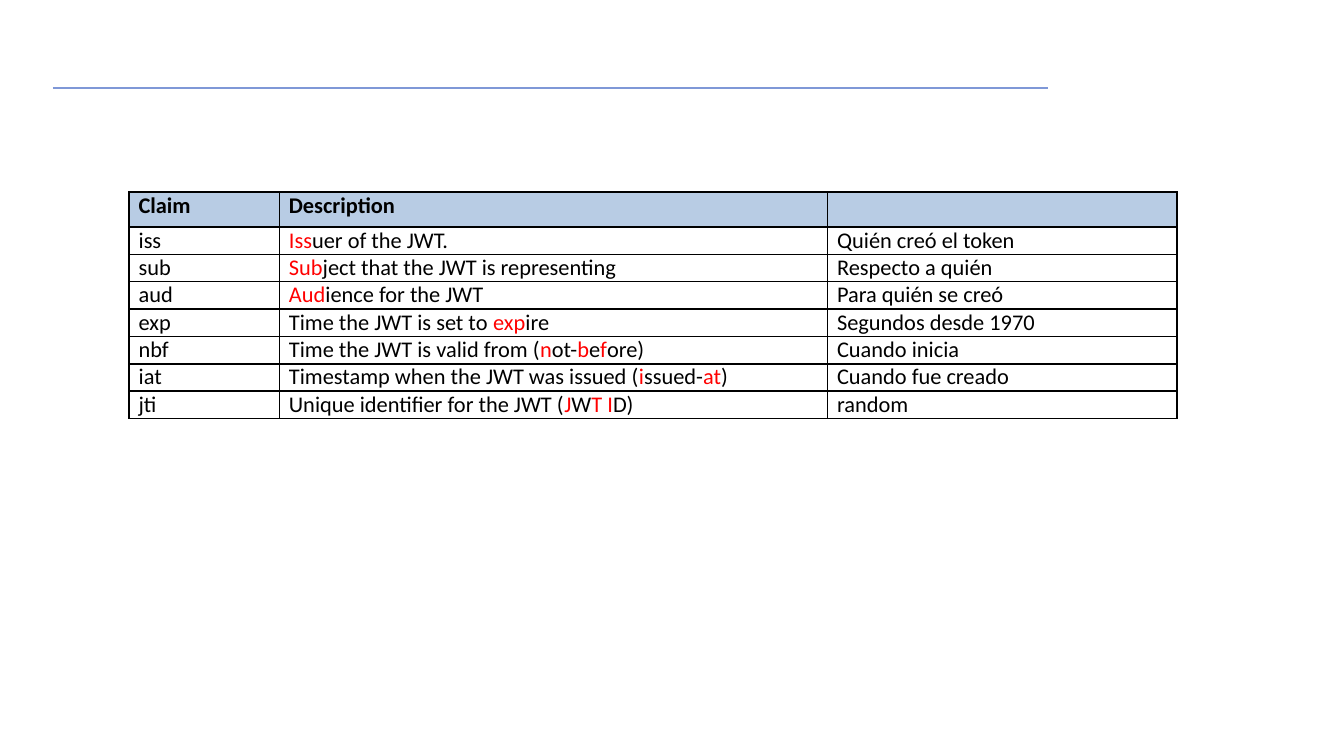
from dataclasses import dataclass

import lxml.etree
import pptx
import pptx.dml.color
import pptx.enum.shapes
import pptx.enum.text
import pptx.oxml
import pptx.oxml.ns
import pptx.util
from pptx.util import Cm

COLORS = {
    "rule": "7F98D7",
    "header": "B8CCE4",
    "body": "FFFFFF",
    "text": "000000",
    "highlight": "FF0000",
    "border": "000000",
}
FONT = "Calibri"
FONT_SIZE = pptx.util.Pt(12)
COLUMN_WIDTHS = (2.84, 10.36, 6.6)
HEADER_HEIGHT = 0.66
CLAIM_HEIGHT = 0.51
HIGHLIGHT_MARK = "*"


@dataclass(frozen=True)
class Claim:
    name: str
    description: str
    meaning: str


HEADER = Claim("Claim", "Description", "")
CLAIMS = (
    Claim("iss", "*Iss*uer of the JWT. ", "Quién creó el token"),
    Claim("sub", "*Sub*ject that the JWT is representing", "Respecto a quién"),
    Claim("aud", "*Aud*ience for the JWT", "Para quién se creó"),
    Claim("exp", "Time the JWT is set to *exp*ire", "Segundos desde 1970"),
    Claim("nbf", "Time the JWT is valid from (*n*ot-*b*e*f*ore)", "Cuando inicia"),
    Claim("iat", "Timestamp when the JWT was issued (*i*ssued-*at*)", "Cuando fue creado"),
    Claim("jti", "Unique identifier for the JWT (*J*W*T I*D)", "random"),
)


def rgb(color: str) -> pptx.dml.color.RGBColor:
    return pptx.dml.color.RGBColor.from_string(COLORS[color])


def add_borders(cell) -> None:
    properties = cell._tc.get_or_add_tcPr()
    for side in ("lnL", "lnR", "lnT", "lnB"):
        properties.append(pptx.oxml.parse_xml(
            f'<a:{side} {pptx.oxml.ns.nsdecls("a")} w="12700"><a:solidFill>'
            f'<a:srgbClr val="{COLORS["border"]}"/></a:solidFill></a:{side}>'
        ))


def write_text(cell, text: str, bold: bool) -> None:
    paragraph = cell.text_frame.paragraphs[0]
    paragraph.alignment = pptx.enum.text.PP_ALIGN.JUSTIFY
    if not text:
        end = lxml.etree.SubElement(paragraph._p, pptx.oxml.ns.qn("a:endParaRPr"))
        end.set("sz", str(FONT_SIZE.centipoints))
    for index, part in enumerate(text.split(HIGHLIGHT_MARK)):
        if part:
            run = paragraph.add_run()
            run.text = part
            run.font.name = FONT
            run.font.size = FONT_SIZE
            run.font.bold = bold
            run.font.color.rgb = rgb("highlight" if index % 2 else "text")


def fill_row(row, claim: Claim, height: float, fill: str, bold: bool) -> None:
    row.height = Cm(height)
    for cell, text in zip(row.cells, (claim.name, claim.description, claim.meaning)):
        cell.margin_left = cell.margin_right = Cm(0.18)
        cell.margin_top = cell.margin_bottom = 0
        add_borders(cell)
        cell.fill.solid()
        cell.fill.fore_color.rgb = rgb(fill)
        write_text(cell, text, bold)


def add_title_rule(slide) -> None:
    rule = slide.shapes.add_connector(
        pptx.enum.shapes.MSO_CONNECTOR.STRAIGHT, Cm(1), Cm(1.67), Cm(19.8), Cm(1.67)
    )
    rule.line.color.rgb = rgb("rule")
    rule.line.width = pptx.util.Pt(1)
    lxml.etree.SubElement(rule._element.spPr, pptx.oxml.ns.qn("a:effectLst"))


def add_claims_table(slide) -> None:
    height = HEADER_HEIGHT + CLAIM_HEIGHT * len(CLAIMS)
    table = slide.shapes.add_table(
        len(CLAIMS) + 1, len(COLUMN_WIDTHS),
        Cm(2.44), Cm(3.63), Cm(sum(COLUMN_WIDTHS)), Cm(height),
    ).table
    table.horz_banding = False
    for column, width in zip(table.columns, COLUMN_WIDTHS):
        column.width = Cm(width)
    header_row, *claim_rows = table.rows
    fill_row(header_row, HEADER, HEADER_HEIGHT, "header", True)
    for row, claim in zip(claim_rows, CLAIMS):
        fill_row(row, claim, CLAIM_HEIGHT, "body", False)


def main() -> None:
    presentation = pptx.Presentation()
    presentation.slide_width = Cm(25.4)
    presentation.slide_height = Cm(14.29)
    slide = presentation.slides.add_slide(presentation.slide_layouts[6])
    add_title_rule(slide)
    add_claims_table(slide)
    presentation.save("out.pptx")


if __name__ == "__main__":
    main()
